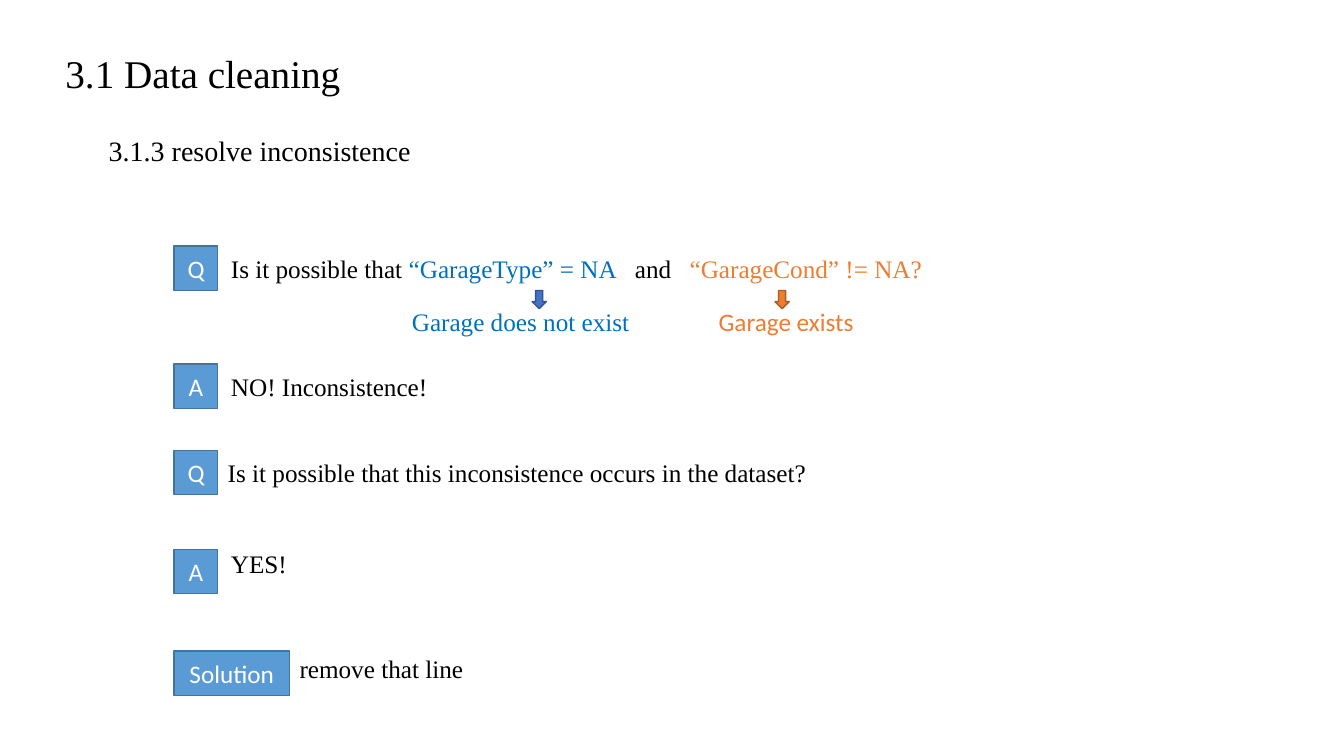
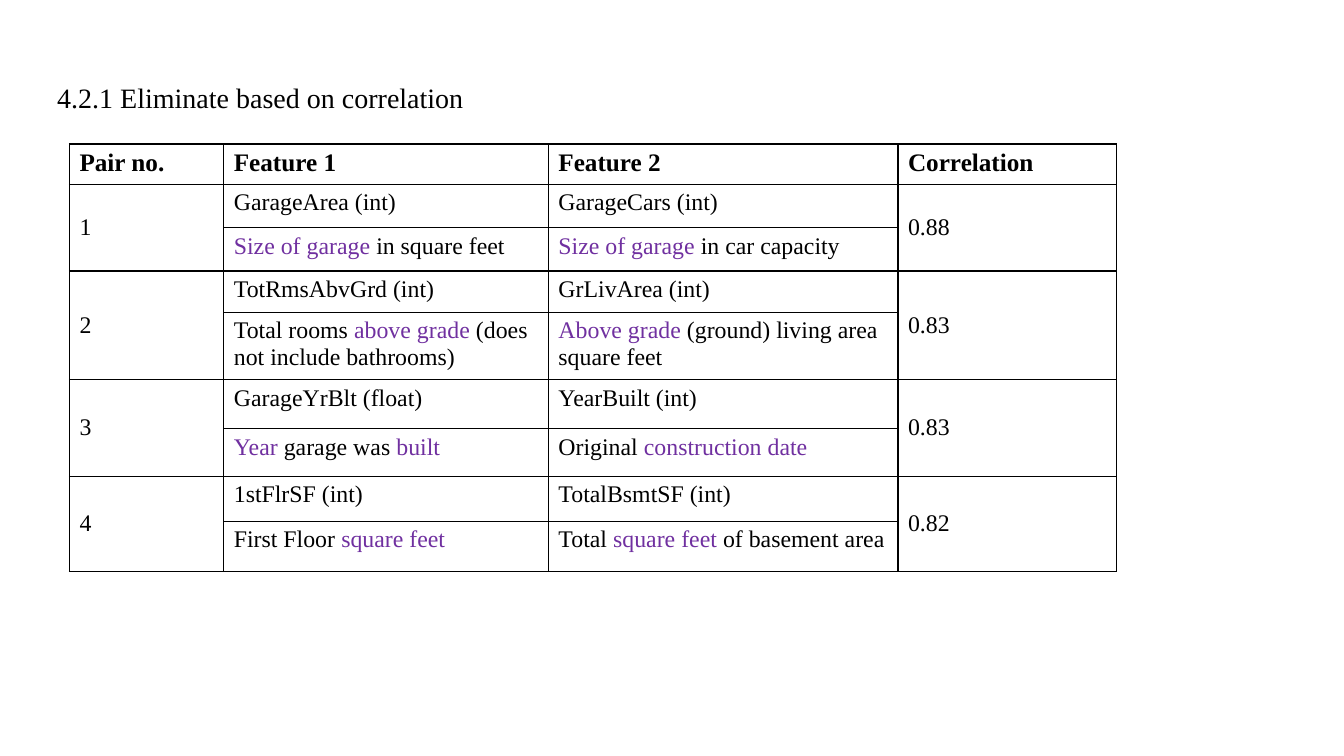
"""Build two slides on data cleaning and feature pairs."""
import dataclasses
import typing

import lxml.etree
import pptx
import pptx.dml.color
import pptx.enum.shapes
import pptx.enum.text
import pptx.oxml.ns
import pptx.util

Cm = pptx.util.Cm
Pt = pptx.util.Pt
Shape = pptx.enum.shapes.MSO_SHAPE
Anchor = pptx.enum.text.MSO_ANCHOR
Align = pptx.enum.text.PP_ALIGN
qn = pptx.oxml.ns.qn

HUES = {
    "ink": "000000",
    "white": "FFFFFF",
    "blue": "0070C0",
    "orange": "ED7D31",
    "violet": "7030A0",
    "badge": "5B9BD5",
    "badge_edge": "43739E",
    "navy": "4472C4",
    "navy_edge": "325491",
    "rust_edge": "AF5C24",
}
SERIF = "Times New Roman"
SANS = "Calibri"


class Bit(typing.NamedTuple):
    text: str
    hue: str = "ink"


@dataclasses.dataclass
class Label:
    left: float
    top: float
    width: float
    bits: list[Bit]
    size: float = 18
    font: str = SERIF
    height: float = 1.02
    tabs: tuple[float, ...] = ()


@dataclasses.dataclass
class Badge:
    top: float
    text: str
    width: float = 1.1


@dataclasses.dataclass
class Arrow:
    left: float
    fill: str
    edge: str


@dataclasses.dataclass
class Pair:
    names: tuple[str, str]
    notes: tuple[str, str]
    score: str
    heights: tuple[float, float]


LABELS = [
    Label(2.49, 3.25, 8.5, [Bit("3.1.3 resolve inconsistence")], size=20, height=1.12),
    Label(5.57, 6.27, 19, [
        Bit("Is it possible that "), Bit("“GarageType” = NA", "blue"),
        Bit("\tand\t"), Bit("“GarageCond” != NA?", "orange"),
    ], tabs=(10.18, 11.56)),
    Label(10.13, 7.59, 7, [Bit("Garage does not exist", "blue")]),
    Label(17.86, 7.59, 4.4, [Bit("Garage exists", "orange")], font=SANS),
    Label(5.57, 9.22, 18, [Bit("NO! Inconsistence!")]),
    Label(5.49, 11.4, 18, [Bit("Is it possible that this inconsistence occurs in the dataset?")]),
    Label(5.57, 13.69, 18, [Bit("YES!")]),
    Label(7.3, 16.33, 16, [Bit("remove that line")]),
]
BADGES = [
    Badge(6.2, "Q"), Badge(9.17, "A"), Badge(11.35, "Q"),
    Badge(13.84, "A"), Badge(16.41, "Solution", 2.9),
]
ARROWS = [Arrow(13.41, "navy", "navy_edge"), Arrow(19.53, "orange", "rust_edge")]

HEADS = ("Pair no.", "Feature 1", "Feature 2", "Correlation")
WIDTHS = (3.89, 8.18, 8.81, 5.51)
PAIRS = [
    Pair(("GarageArea (int)", "GarageCars (int)"),
         ("|Size of garage| in square feet", "|Size of garage| in car capacity"),
         "0.88", (1.09, 1.09)),
    Pair(("TotRmsAbvGrd (int)", "GrLivArea (int)"),
         ("Total rooms |above grade| (does not include bathrooms)",
          "|Above grade| (ground) living area square feet"),
         "0.83", (1.04, 1.7)),
    Pair(("GarageYrBlt (float)", "YearBuilt (int)"),
         ("|Year| garage was |built|", "Original |construction date|"),
         "0.83", (1.24, 1.19)),
    Pair(("1stFlrSF (int)", "TotalBsmtSF (int)"),
         ("First Floor |square feet|", "Total |square feet| of basement area"),
         "0.82", (1.14, 1.27)),
]


def tint(name: str) -> pptx.dml.color.RGBColor:
    return pptx.dml.color.RGBColor.from_string(HUES[name])


def write(frame, bits: list[Bit], size: float, font: str = SERIF, bold: bool = False):
    line = frame.paragraphs[0]
    line.text = bits[0].text
    for bit in bits[1:]:
        line.add_run().text = bit.text
    for run, bit in zip(line.runs, bits):
        run.font.size = Pt(size)
        run.font.name = font
        run.font.bold = bold
        run.font.color.rgb = tint(bit.hue)
    return line


def add_label(slide, label: Label):
    box = slide.shapes.add_textbox(
        Cm(label.left), Cm(label.top), Cm(label.width), Cm(label.height))
    box.text_frame.word_wrap = True
    line = write(box.text_frame, label.bits, label.size, label.font)
    if label.tabs:
        stops = lxml.etree.SubElement(line._p.get_or_add_pPr(), qn("a:tabLst"))
        for stop in label.tabs:
            lxml.etree.SubElement(stops, qn("a:tab"), pos=str(Cm(stop)), algn="l")
    return box


def add_block(slide, kind, left: float, top: float, width: float, height: float,
              fill: str, edge: str):
    block = slide.shapes.add_shape(kind, Cm(left), Cm(top), Cm(width), Cm(height))
    block.shadow.inherit = False
    block.fill.solid()
    block.fill.fore_color.rgb = tint(fill)
    block.line.color.rgb = tint(edge)
    block.line.width = Pt(1)
    return block


def add_badge(slide, badge: Badge) -> None:
    block = add_block(slide, Shape.RECTANGLE, 4.39, badge.top, badge.width, 1.12,
                      "badge", "badge_edge")
    frame = block.text_frame
    frame.vertical_anchor = Anchor.MIDDLE
    write(frame, [Bit(badge.text, "white")], 18, SANS).alignment = Align.CENTER


def split(text: str) -> list[Bit]:
    parts = enumerate(text.split("|"))
    return [Bit(part, "violet" if spot % 2 else "ink") for spot, part in parts if part]


def frame_cell(cell) -> None:
    cell.fill.background()
    props = cell._tc.get_or_add_tcPr()
    for spot, side in enumerate(("lnL", "lnR", "lnT", "lnB")):
        edge = lxml.etree.Element(qn(f"a:{side}"), w=str(Pt(1)))
        fill = lxml.etree.SubElement(edge, qn("a:solidFill"))
        lxml.etree.SubElement(fill, qn("a:srgbClr"), val=HUES["ink"])
        props.insert(spot, edge)


def add_pairs(slide) -> None:
    heights = [0.97] + [height for pair in PAIRS for height in pair.heights]
    grid = slide.shapes.add_table(
        len(heights), len(HEADS), Cm(1.75), Cm(3.63),
        Cm(sum(WIDTHS)), Cm(sum(heights))).table
    grid.first_row = grid.horz_banding = False
    for column, width in zip(grid.columns, WIDTHS):
        column.width = Cm(width)
    for row, height in zip(grid.rows, heights):
        row.height = Cm(height)
    for cell in grid.iter_cells():
        frame_cell(cell)
    for col, head in enumerate(HEADS):
        write(grid.cell(0, col).text_frame, [Bit(head)], 18, bold=True)
    for count, pair in enumerate(PAIRS, 1):
        top = 2 * count - 1
        for col, text in ((0, str(count)), (3, pair.score)):
            cell = grid.cell(top, col)
            cell.merge(grid.cell(top + 1, col))
            cell.vertical_anchor = Anchor.MIDDLE
            write(cell.text_frame, [Bit(text)], 17)
        for row, texts in enumerate((pair.names, pair.notes), top):
            for col, text in enumerate(texts, 1):
                write(grid.cell(row, col).text_frame, split(text), 17)


def main() -> None:
    deck = pptx.Presentation()
    deck.slide_width, deck.slide_height = Cm(33.87), Cm(19.05)
    blank = deck.slide_layouts[6]

    clean = deck.slides.add_slide(blank)
    title = add_label(clean, Label(1.4, 0.43, 21.1, [Bit("3.1 Data cleaning")], 28, height=2.13))
    title.text_frame.vertical_anchor = Anchor.BOTTOM
    title.text_frame.paragraphs[0].line_spacing = 0.9
    for label in LABELS:
        add_label(clean, label)
    for arrow in ARROWS:
        add_block(clean, Shape.DOWN_ARROW, arrow.left, 7.32, 0.36, 0.46, arrow.fill, arrow.edge)
    for badge in BADGES:
        add_badge(clean, badge)

    match = deck.slides.add_slide(blank)
    add_pairs(match)
    add_label(match, Label(1.19, 1.9, 24.1, [Bit("4.2.1 Eliminate based on correlation")],
                           20, height=1.12))
    deck.save("out.pptx")


if __name__ == "__main__":
    main()
